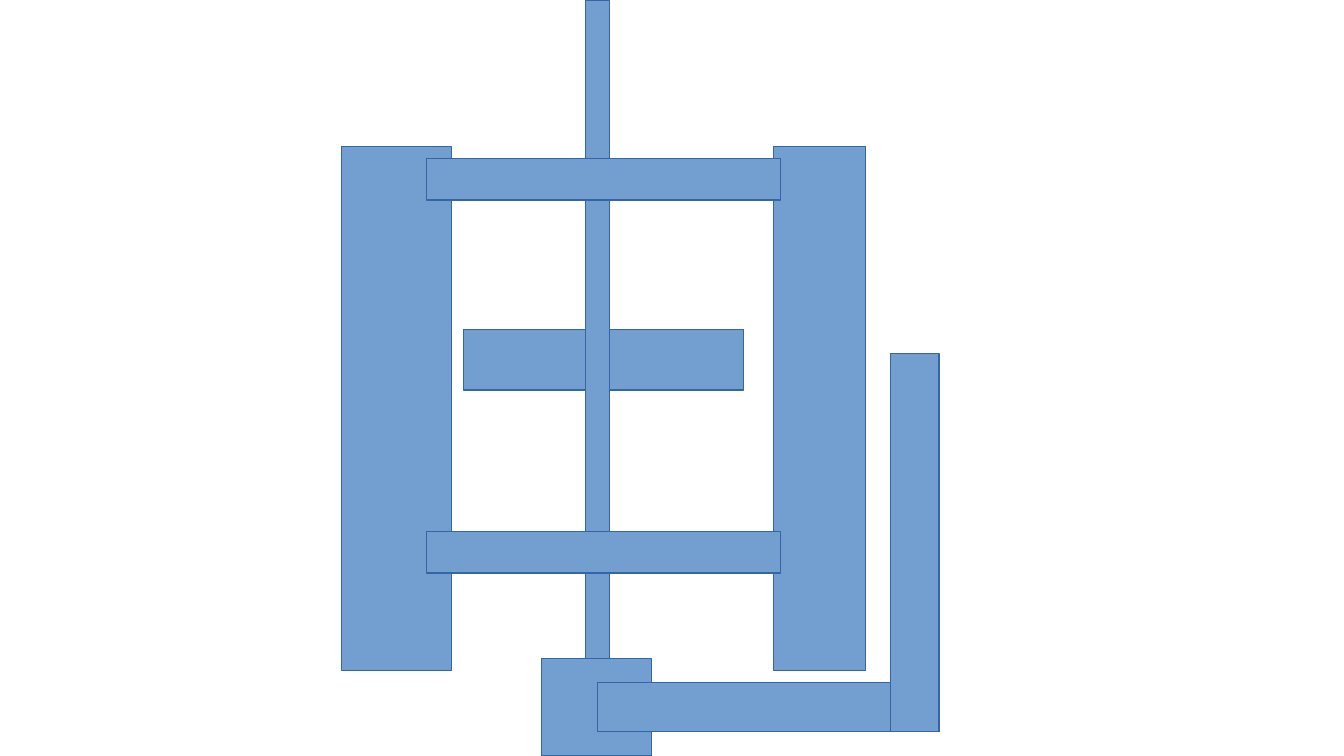
from dataclasses import dataclass

from pptx import Presentation
from pptx.dml.color import RGBColor
from pptx.enum.shapes import MSO_SHAPE
from pptx.util import Inches, Pt

PAGE_WIDTH, PAGE_HEIGHT = 11.02, 6.2
BLANK_LAYOUT = 6

# Back to front: left, top, width, height in inches
BARS = [
    (2.8, 1.2, 0.9, 4.3),  # left column
    (3.8, 2.7, 2.3, 0.5),  # middle block
    (4.8, 0, 0.2, PAGE_HEIGHT),  # shaft
    (6.34, 1.2, 0.76, 4.3),  # right column
    (3.5, 4.36, 2.9, 0.34),  # lower crossbar
    (3.5, 1.3, 2.9, 0.34),  # upper crossbar
    (4.44, 5.4, 0.9, 0.8),  # base
    (4.9, 5.6, 2.8, 0.4),  # crank arm
    (7.3, 2.9, 0.4, 3.1),  # crank handle
]


@dataclass(frozen=True)
class Theme:
    fill: RGBColor = RGBColor(0x72, 0x9F, 0xCF)
    outline: RGBColor = RGBColor(0x34, 0x65, 0xA4)
    outline_width: int = Pt(0)


THEME = Theme()


def add_bar(page, bounds):
    bar = page.shapes.add_shape(MSO_SHAPE.RECTANGLE, *map(Inches, bounds))
    bar.shadow.inherit = False
    bar.fill.solid()
    bar.fill.fore_color.rgb = THEME.fill
    bar.line.color.rgb = THEME.outline
    bar.line.width = THEME.outline_width


def main():
    deck = Presentation()
    deck.slide_width = Inches(PAGE_WIDTH)
    deck.slide_height = Inches(PAGE_HEIGHT)
    page = deck.slides.add_slide(deck.slide_layouts[BLANK_LAYOUT])
    for bounds in BARS:
        add_bar(page, bounds)
    deck.save("out.pptx")


if __name__ == "__main__":
    main()
